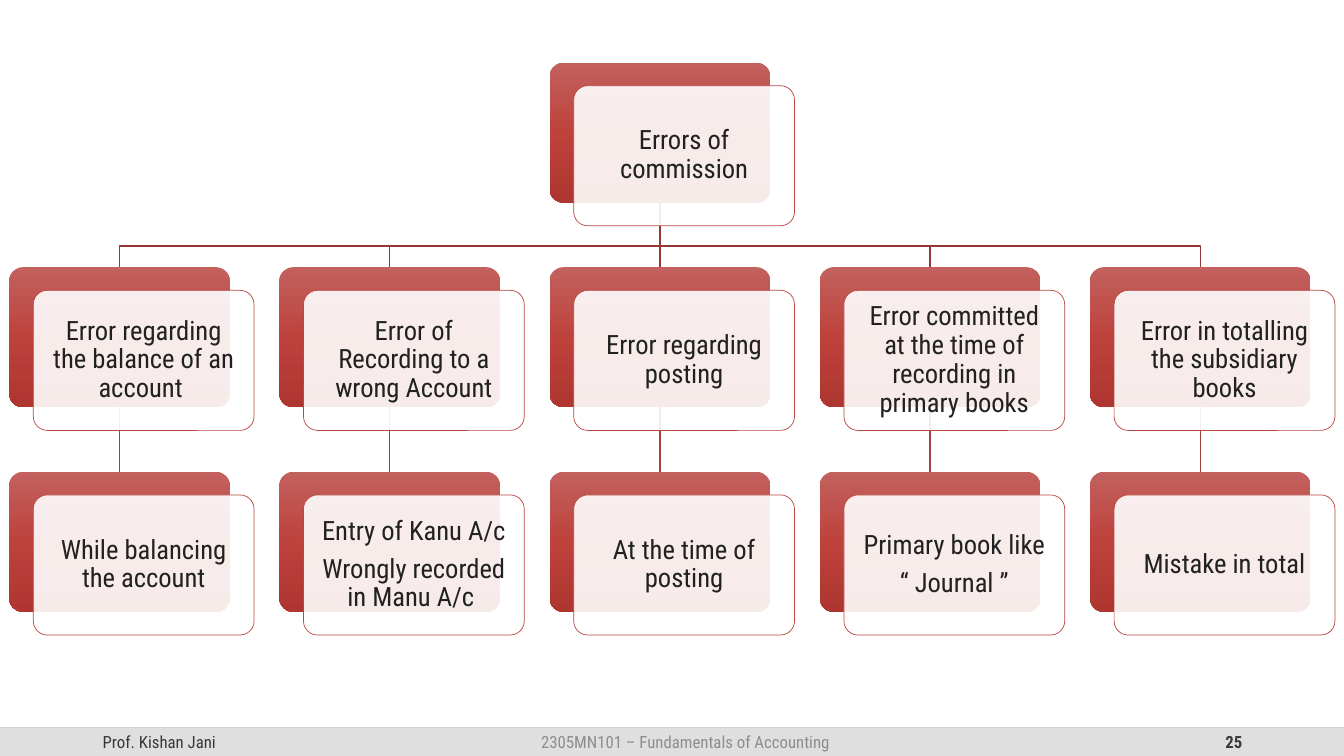
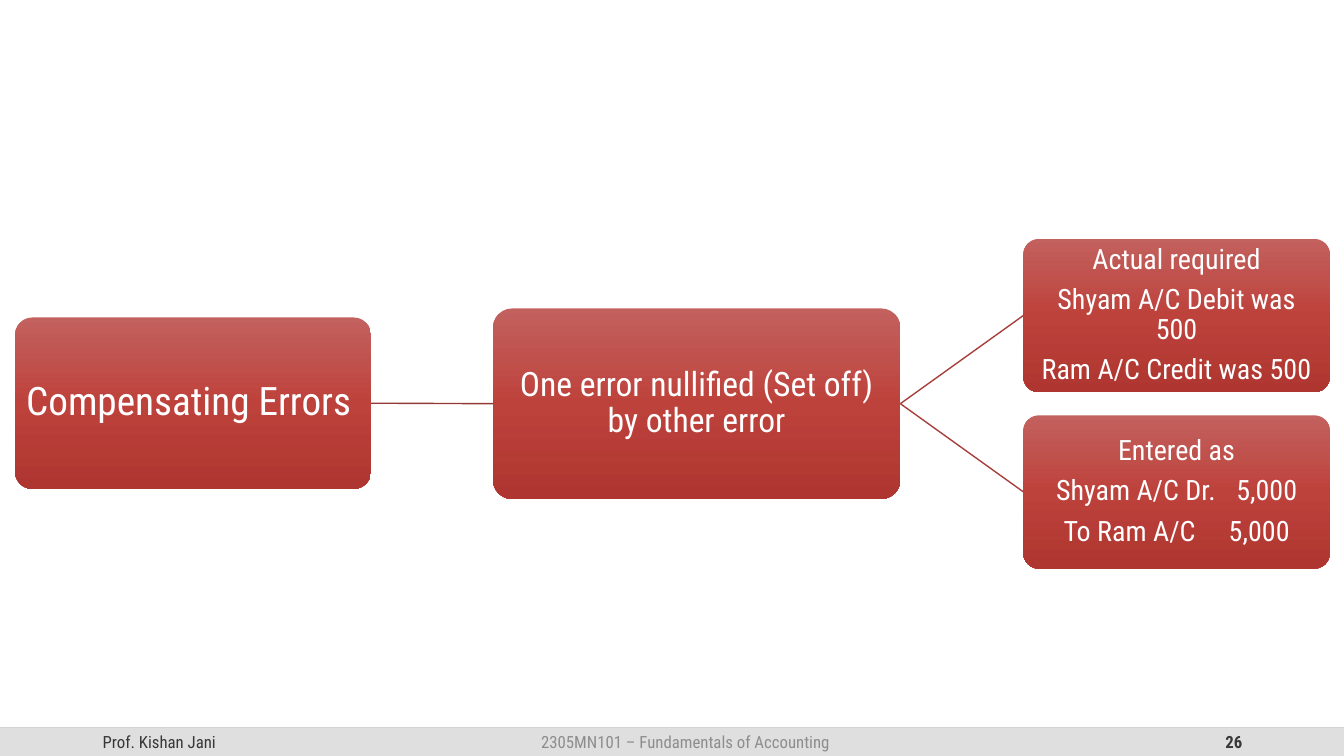
from copy import deepcopy

from lxml import etree
from pptx import Presentation
from pptx.dml.color import RGBColor
from pptx.enum import shapes, text
from pptx.oxml import ns
from pptx.util import Inches, Pt

FONT = "Roboto Condensed"
WHITE = RGBColor(0xFF, 0xFF, 0xFF)
INK = RGBColor(0x21, 0x21, 0x21)
DARK = RGBColor(0x37, 0x37, 0x37)
GREY = RGBColor(0x8D, 0x8D, 0x8D)
BAND = RGBColor(0xDF, 0xDF, 0xDF)
RULE = RGBColor(0xD2, 0xD2, 0xD2)
EDGE = RGBColor(0xB8, 0x47, 0x42)
TRUNK = RGBColor(0x93, 0x39, 0x35)
TWIG = RGBColor(0xA7, 0x40, 0x3C)
REDS = [
    (0, RGBColor(0xC2, 0x61, 0x5E)),
    (0.5, RGBColor(0xBE, 0x42, 0x3C)),
    (1, RGBColor(0xAE, 0x35, 0x30)),
]
ROUND = shapes.MSO_SHAPE.ROUNDED_RECTANGLE
LINE = shapes.MSO_CONNECTOR.STRAIGHT
ALIGN = text.PP_ALIGN


def block(slide, x, y, w, h):
    """Add a rounded box with the red gradient."""
    box = slide.shapes.add_shape(ROUND, Inches(x), Inches(y), Inches(w), Inches(h))
    box.adjustments[0] = 0.1
    box.shadow.inherit = False
    box.line.fill.background()
    box.fill.gradient()
    box.fill.gradient_angle = 270
    stops = box._element.spPr.find(".//" + ns.qn("a:gsLst"))
    stops.insert(1, deepcopy(stops[0]))
    for stop, (pos, red) in zip(box.fill.gradient_stops, REDS):
        stop.position = pos
        stop.color.rgb = red
    return box


def write(box, lines, size, color, pad):
    """Fill a box with centred paragraphs."""
    frame = box.text_frame
    frame.word_wrap = True
    frame.vertical_anchor = text.MSO_ANCHOR.MIDDLE
    frame.margin_left = frame.margin_right = Inches(pad)
    frame.margin_top = frame.margin_bottom = Inches(pad)
    frame.text = "\n".join(lines)
    for para in frame.paragraphs:
        para.alignment = ALIGN.CENTER
        para.line_spacing = 0.9
        para.space_after = Pt(0.35 * size)
        para.font.name = FONT
        para.font.size = Pt(size)
        para.font.color.rgb = color


deck = Presentation()
deck.slide_width, deck.slide_height = Inches(13.33), Inches(7.5)
wires = []

# Footer of every slide
for number in (25, 26):
    slide = deck.slides.add_slide(deck.slide_layouts[6])
    rule = slide.shapes.add_connector(LINE, 0, Inches(7.22), deck.slide_width, Inches(7.22))
    wires.append((rule, RULE))
    band = slide.shapes.add_shape(
        shapes.MSO_SHAPE.RECTANGLE, 0, Inches(7.22), deck.slide_width, Inches(0.28))
    band.shadow.inherit = False
    band.fill.solid()
    band.fill.fore_color.rgb = BAND
    band.line.fill.background()
    for x, w, words, side, color, bold in (
        (0.92, 3, "Prof. Kishan Jani", ALIGN.LEFT, DARK, False),
        (4.18, 5.24, "2305MN101 – Fundamentals of Accounting", ALIGN.CENTER, GREY, False),
        (9.42, 3, str(number), ALIGN.RIGHT, DARK, True),
    ):
        note = slide.shapes.add_textbox(Inches(x), Inches(7.22), Inches(w), Inches(0.28))
        note.text_frame.word_wrap = True
        note.text_frame.vertical_anchor = text.MSO_ANCHOR.MIDDLE
        para = note.text_frame.paragraphs[0]
        para.text = words
        para.alignment = side
        para.font.name = FONT
        para.font.size = Pt(12)
        para.font.bold = bold
        para.font.color.rgb = color

tree, chain = deck.slides

# Errors of commission: a root over five columns of two cards
CARD_W, CARD_H = 2.19, 1.39
LEFT, STEP_X = 0.09, 2.68
TOP, STEP_Y = 0.62, 2.03
BEND = 2.44
CAUSES = [
    ("Error regarding the balance of an account ", ["While balancing the account"]),
    ("Error of Recording to a wrong Account",
     ["Entry of Kanu A/c", "Wrongly recorded in Manu A/c "]),
    ("Error regarding posting", ["At the time of posting"]),
    ("Error committed at the time of recording in primary books",
     ["Primary book like", "“ Journal ”"]),
    ("Error in totalling the subsidiary books", ["Mistake in total"]),
]
cards = {(2, 0): ["Errors of commission"]}
for col, (cause, case) in enumerate(CAUSES):
    cards[col, 1] = [cause]
    cards[col, 2] = case

# Lines come first so that they lie behind the cards
links = []
root_x = LEFT + 2 * STEP_X + CARD_W / 2
for col in range(len(CAUSES)):
    x = LEFT + col * STEP_X + CARD_W / 2
    rows = [(1, TWIG)]
    if col == 2:
        rows.append((0, TRUNK))
    else:
        pen = tree.shapes.build_freeform(Inches(root_x), Inches(TOP + CARD_H))
        pen.add_line_segments(
            [(Inches(root_x), Inches(BEND)), (Inches(x), Inches(BEND)),
             (Inches(x), Inches(TOP + STEP_Y))], close=False)
        elbow = pen.convert_to_shape()
        elbow.shadow.inherit = False
        elbow.fill.background()
        elbow.line.color.rgb = TRUNK
        elbow.line.width = Pt(1)
    for row, color in rows:
        wire = tree.shapes.add_connector(LINE, 0, 0, 0, 0)
        wires.append((wire, color))
        links.append((wire, col, row))

backs = {}
for (col, row), lines in cards.items():
    x, y = LEFT + col * STEP_X, TOP + row * STEP_Y
    backs[col, row] = block(tree, x, y, CARD_W, CARD_H)
    front = block(tree, x + 0.24, y + 0.23, CARD_W, CARD_H)
    front.fill.solid()
    front.fill.fore_color.rgb = WHITE
    tone = front._element.spPr.find(ns.qn("a:solidFill"))[0]
    etree.SubElement(tone, ns.qn("a:alpha")).set("val", "90000")
    front.line.color.rgb = EDGE
    front.line.width = Pt(0.5)
    write(front, lines, 19, INK, 0.12)

for wire, col, row in links:
    wire.begin_connect(backs[col, row], 2)
    wire.end_connect(backs[col, row + 1], 0)

# Compensating errors: a chain that forks into two boxes
STEPS = [
    (0.15, 3.15, 3.53, 1.7, 28, ["Compensating Errors "]),
    (4.89, 3.06, 4.04, 1.89, 24, ["One error nullified (Set off) by other error"]),
    (10.15, 2.37, 3.04, 1.52, 20,
     ["Actual required", "Shyam A/C Debit was 500", "Ram A/C Credit was 500"]),
    (10.15, 4.12, 3.04, 1.52, 20, ["Entered as", "Shyam A/C Dr.", "To Ram A/C"]),
]
boxes = []
for x, y, w, h, size, lines in STEPS:
    box = block(chain, x, y, w, h)
    write(box, lines, size, WHITE, 0.06)
    boxes.append(box)

# Amounts stand off from their accounts by one widened space
for para, gap in zip(boxes[3].text_frame.paragraphs[1:], (10, 19)):
    space = para.add_run()
    space.text = " "
    space._r.get_or_add_rPr().set("spc", str(gap * 100))
    para.add_run().text = "5,000"

for start, end, color in ((0, 1, TRUNK), (1, 2, TWIG), (1, 3, TWIG)):
    wire = chain.shapes.add_connector(LINE, 0, 0, 0, 0)
    wire.begin_connect(boxes[start], 3)
    wire.end_connect(boxes[end], 1)
    wires.append((wire, color))

for wire, color in wires:
    wire.line.color.rgb = color
    wire.line.width = Pt(1)
    etree.SubElement(wire._element.spPr, ns.qn("a:effectLst"))

deck.save("out.pptx")
